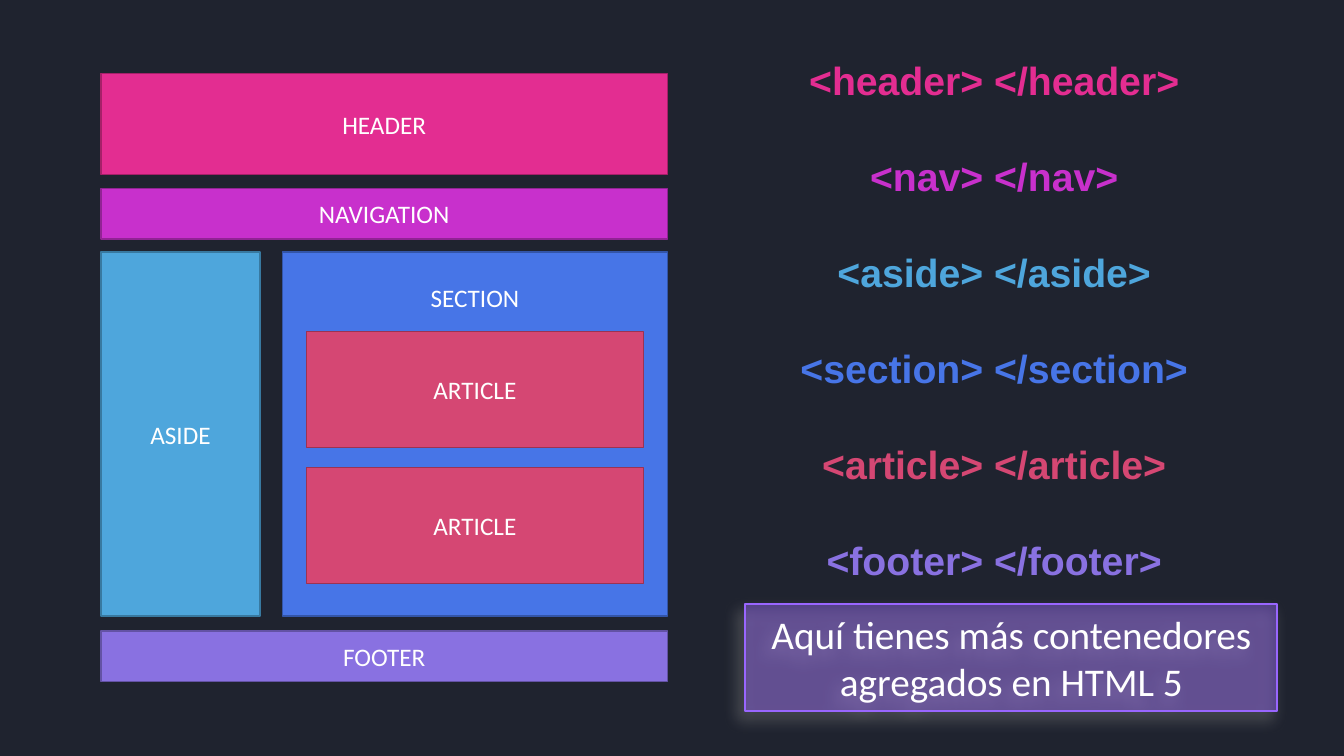
"""Builds a slide that shows the HTML 5 layout containers and their tags."""
from lxml import etree
from pptx import Presentation
from pptx.dml.color import RGBColor
from pptx.enum.shapes import MSO_SHAPE
from pptx.enum.text import MSO_ANCHOR, PP_ALIGN
from pptx.oxml import parse_xml
from pptx.oxml.ns import nsdecls, qn
from pptx.util import Inches, Pt


def add_box(left, top, width, height, fill, line=None, line_width=1):
    shape = slide.shapes.add_shape(
        MSO_SHAPE.RECTANGLE, Inches(left), Inches(top), Inches(width), Inches(height))
    shape.shadow.inherit = False
    shape.fill.solid()
    shape.fill.fore_color.rgb = RGBColor.from_string(fill)
    if line:
        shape.line.color.rgb = RGBColor.from_string(line)
        shape.line.width = Pt(line_width)
    else:
        shape.line.fill.background()
    return shape


def write(paragraph, text, size=18, font="Calibri", color="FFFFFF", bold=False):
    paragraph.alignment = PP_ALIGN.CENTER
    run = paragraph.add_run()
    run.text = text
    run.font.size = Pt(size)
    run.font.name = font
    run.font.bold = bold
    run.font.color.rgb = RGBColor.from_string(color)


presentation = Presentation()
presentation.slide_width = Inches(13.33)
presentation.slide_height = Inches(7.5)
slide = presentation.slides.add_slide(presentation.slide_layouts[6])

add_box(0, 0, 13.33, 7.5, "1F232F")

colors = {
    "header": ("E32D91", "A52069"),
    "nav": ("C830CC", "912394"),
    "aside": ("4EA6DC", "3879A0"),
    "section": ("4775E7", "3355A8"),
    "article": ("D54773", "9B3353"),
    "footer": ("8971E1", "6352A4"),
}
blocks = [
    ("HEADER", "header", 1, 0.73, 5.62, 1),
    ("NAVIGATION", "nav", 1, 1.87, 5.62, 0.5),
    ("ASIDE", "aside", 1, 2.5, 1.58, 3.61),
    ("SECTION", "section", 2.8, 2.5, 3.82, 3.61),
    ("ARTICLE", "article", 3.04, 3.29, 3.34, 1.15),
    ("ARTICLE", "article", 3.04, 4.64, 3.34, 1.15),
    ("FOOTER", "footer", 1, 6.26, 5.62, 0.5),
]
for label, tag, left, top, width, height in blocks:
    block = add_box(left, top, width, height, *colors[tag])
    frame = block.text_frame
    frame.vertical_anchor = MSO_ANCHOR.MIDDLE
    if tag == "section":
        frame.vertical_anchor = MSO_ANCHOR.TOP
        frame.margin_top = Inches(0.3)
    write(frame.paragraphs[0], label)

tag_list = slide.shapes.add_textbox(Inches(7.39), Inches(0.51), Inches(4.94), Inches(5.28))
frame = tag_list.text_frame
frame.word_wrap = True
for index, (tag, (color, _)) in enumerate(colors.items()):
    paragraph = frame.add_paragraph() if index else frame.paragraphs[0]
    if index:
        paragraph.space_before = Pt(35)
    write(paragraph, f"<{tag}> </{tag}>", size=28, font="Arial", color=color, bold=True)

note = add_box(7.39, 5.99, 5.28, 1.06, "9966FF", "9966FF", 1.5)
note.text_frame.word_wrap = True
note.text_frame.vertical_anchor = MSO_ANCHOR.MIDDLE
write(note.text_frame.paragraphs[0], "Aquí tienes más contenedores agregados en HTML 5", size=28)
properties = note._element.spPr
fill_color = properties.find(qn("a:solidFill")).find(qn("a:srgbClr"))
etree.SubElement(fill_color, qn("a:alpha"), val="40000")
shadow = parse_xml(
    f'<a:outerShdw {nsdecls("a")} blurRad="{Pt(11)}" dist="{Pt(7)}" dir="{131 * 60000}" '
    'algn="ctr" rotWithShape="0"><a:srgbClr val="7F7F7F"><a:alpha val="84000"/></a:srgbClr>'
    '</a:outerShdw>')
properties.find(qn("a:effectLst")).append(shadow)

presentation.save("out.pptx")
